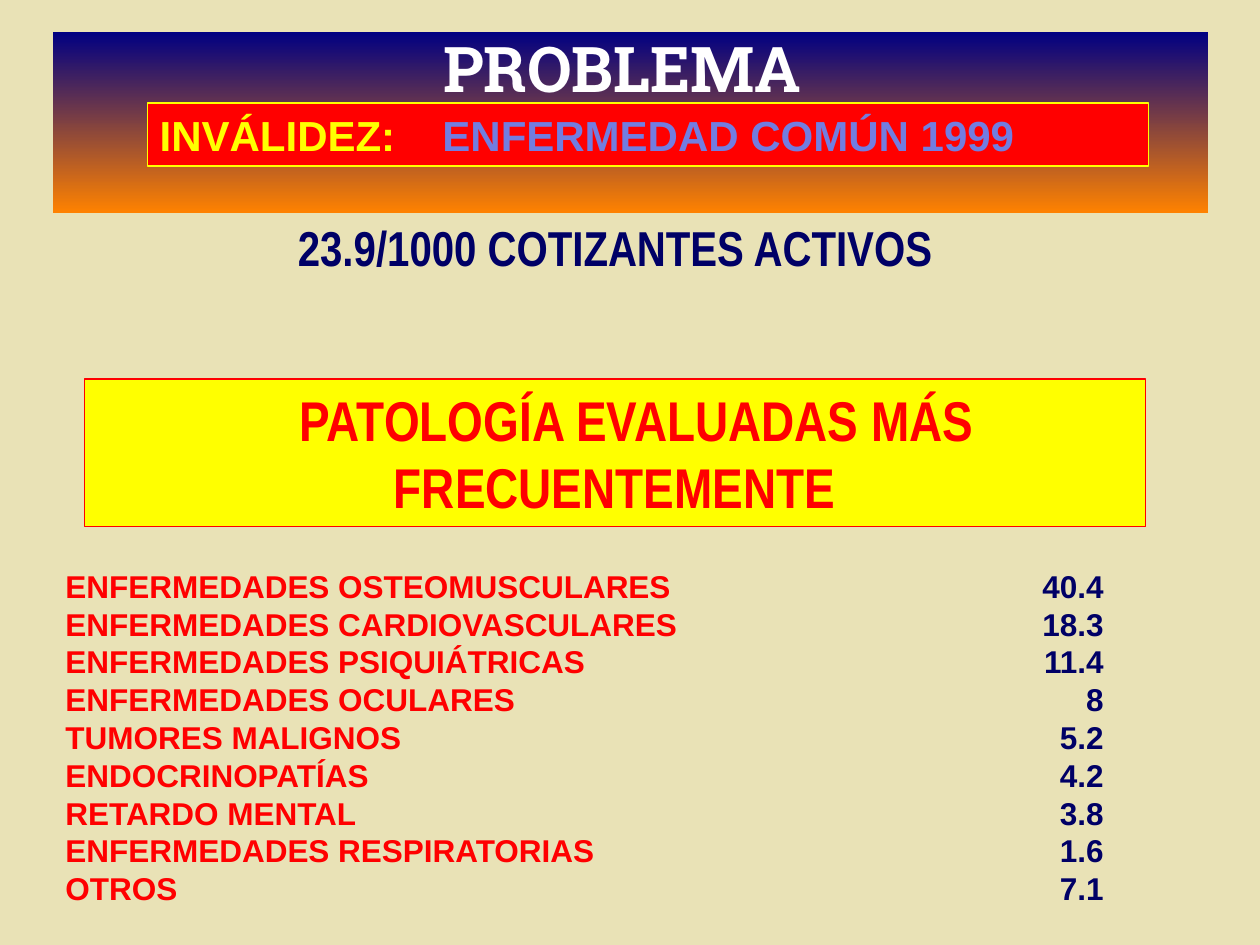
from dataclasses import dataclass

from lxml import etree
from pptx import Presentation
from pptx import util as u
from pptx.dml.color import RGBColor
from pptx.enum import shapes, text
from pptx.oxml import ns


@dataclass(frozen=True)
class Theme:
    sand: str = "E9E2B6"
    navy: str = "000066"
    band_top: str = "000082"
    band_bottom: str = "FF8200"
    red: str = "FF0000"
    yellow: str = "FFFF00"
    lilac: str = "727DE0"
    white: str = "FFFFFF"
    title_font: str = "Roboto Slab"
    body_font: str = "Arial"
    narrow_font: str = "Arial Narrow"
    title: int = 36
    heading: int = 32
    rate: int = 28
    bar: int = 24
    body: int = 18
    leading: float = 1.2


THEME = Theme()

PATHOLOGIES = [
    ("ENFERMEDADES OSTEOMUSCULARES", "40.4"),
    ("ENFERMEDADES CARDIOVASCULARES", "18.3"),
    ("ENFERMEDADES PSIQUIÁTRICAS", "11.4"),
    ("ENFERMEDADES OCULARES", "8"),
    ("TUMORES MALIGNOS", "5.2"),
    ("ENDOCRINOPATÍAS", "4.2"),
    ("RETARDO MENTAL", "3.8"),
    ("ENFERMEDADES RESPIRATORIAS", "1.6"),
    ("OTROS", "7.1"),
]


def rgb(color):
    return RGBColor.from_string(color)


def style_span(span, font, size, color):
    span.font.name = font
    span.font.size = u.Pt(size)
    span.font.bold = True
    span.font.color.rgb = rgb(color)


def write_line(para, parts, font, size, align=text.PP_ALIGN.LEFT):
    """Fill a paragraph with (wording, colour) parts."""
    para.alignment = align
    para.line_spacing = u.Pt(size * THEME.leading)
    for wording, color in parts:
        span = para.add_run()
        span.text = wording
        style_span(span, font, size, color)


def add_tab(para, position, align):
    tabs = etree.SubElement(para._p.get_or_add_pPr(), ns.qn("a:tabLst"))
    etree.SubElement(tabs, ns.qn("a:tab"), pos=str(position), algn=align)


def add_panel(page, bounds, fill, line):
    panel = page.shapes.add_shape(shapes.MSO_SHAPE.RECTANGLE, *map(u.Cm, bounds))
    panel.shadow.inherit = False
    panel.fill.solid()
    panel.fill.fore_color.rgb = rgb(fill)
    panel.line.color.rgb = rgb(line)
    panel.line.width = u.Pt(0.75)
    panel.text_frame.vertical_anchor = text.MSO_ANCHOR.TOP
    panel.text_frame.word_wrap = True
    return panel


def add_text(page, bounds, wrap):
    box = page.shapes.add_textbox(*map(u.Cm, bounds))
    box.text_frame.word_wrap = wrap
    return box


def format_title(page):
    title = page.shapes.title
    title.left, title.top, title.width, title.height = map(
        u.Cm, (1.07, 0.64, 23.29, 3.66))
    title.fill.gradient()
    title.fill.gradient_angle = 270
    for stop, color in zip(title.fill.gradient_stops,
                           (THEME.band_top, THEME.band_bottom)):
        stop.color.rgb = rgb(color)
    frame = title.text_frame
    frame.text = "PROBLEMA"
    frame.auto_size = text.MSO_AUTO_SIZE.NONE
    frame.vertical_anchor = text.MSO_ANCHOR.TOP
    frame.margin_right = u.Cm(0.6)
    para = frame.paragraphs[0]
    para.alignment = text.PP_ALIGN.CENTER
    para.line_spacing = 0.9
    para.space_before = u.Pt(0)
    style_span(para.runs[0], THEME.title_font, THEME.title, THEME.white)


def add_subject_bar(page):
    bar = add_panel(page, (2.97, 2.08, 20.19, 1.27), THEME.red, THEME.yellow)
    para = bar.text_frame.paragraphs[0]
    write_line(para, [("INVÁLIDEZ:\t", THEME.yellow),
                      ("ENFERMEDAD COMÚN 1999", THEME.lilac)],
               THEME.body_font, THEME.bar)
    add_tab(para, u.Cm(5.7), "l")


def add_pathology_list(page):
    box = add_text(page, (1.07, 11.3, 23.29, 7.11), True)
    frame = box.text_frame
    for index, (name, share) in enumerate(PATHOLOGIES):
        para = frame.add_paragraph() if index else frame.paragraphs[0]
        write_line(para, [(name + "\t", THEME.red), (share, THEME.navy)],
                   THEME.body_font, THEME.body)
        add_tab(para, u.Cm(20.93), "r")


def add_heading(page):
    panel = add_panel(page, (1.7, 7.64, 21.39, 2.97), THEME.yellow, THEME.red)
    para = panel.text_frame.paragraphs[0]
    write_line(para, [("PATOLOGÍA EVALUADAS MÁS FRECUENTEMENTE", THEME.red)],
               THEME.narrow_font, THEME.heading, text.PP_ALIGN.CENTER)
    # The first line sits slightly right of centre
    para._p.get_or_add_pPr().set("indent", str(u.Cm(0.89)))


def add_rate(page):
    box = add_text(page, (5.74, 4.27, 13.31, 1.45), False)
    write_line(box.text_frame.paragraphs[0],
               [("23.9/1000 COTIZANTES ACTIVOS", THEME.navy)],
               THEME.narrow_font, THEME.rate, text.PP_ALIGN.CENTER)


def main():
    deck = Presentation()
    deck.slide_width, deck.slide_height = u.Cm(25.4), u.Cm(19.05)
    page = deck.slides.add_slide(deck.slide_layouts[5])
    page.background.fill.solid()
    page.background.fill.fore_color.rgb = rgb(THEME.sand)

    # Header band with the subject bar
    format_title(page)
    add_subject_bar(page)

    # Pathologies and their shares
    add_pathology_list(page)
    add_heading(page)

    # Overall rate
    add_rate(page)
    deck.save("out.pptx")


if __name__ == "__main__":
    main()
